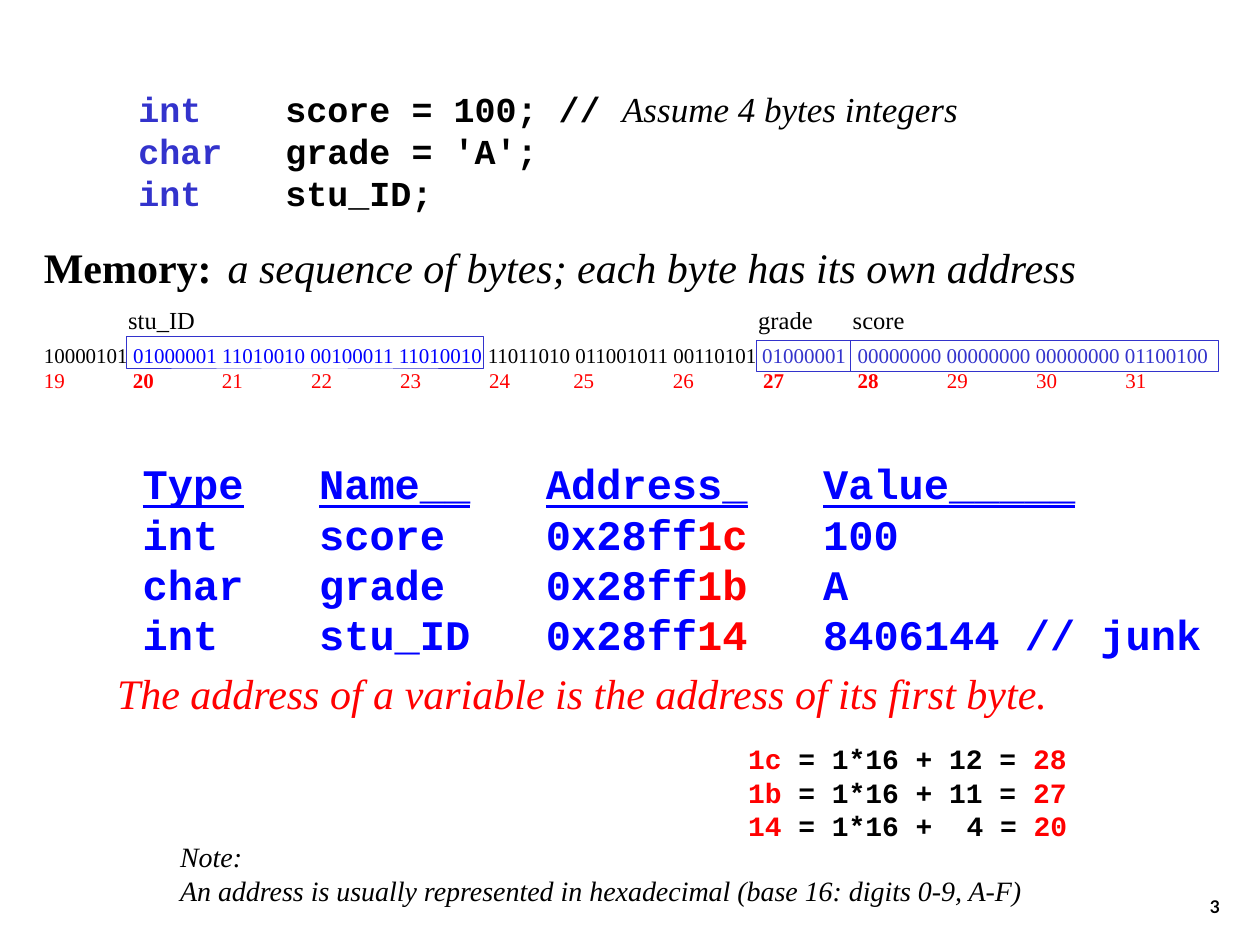
"""Build a slide on variables, their bytes and their addresses in memory."""
from dataclasses import dataclass, replace
from itertools import accumulate

from lxml import etree
from pptx import Presentation
from pptx.dml.color import RGBColor
from pptx.enum import shapes, text
from pptx.oxml import ns
from pptx.util import Pt

HUES = {"black": "000000", "blue": "0000FF", "navy": "3333CC", "red": "FF0000"}
MONO, SERIF, SANS = "Courier New", "Times New Roman", "Lato"


@dataclass(frozen=True)
class Look:
    size: float
    face: str = SERIF
    hue: str = "black"
    bold: bool = False
    slant: bool = False
    under: bool = False


@dataclass(frozen=True)
class Line:
    look: Look
    runs: tuple
    tabs: tuple = ()
    above: float = 0


@dataclass(frozen=True)
class Area:
    left: float
    top: float
    width: float
    height: float

    def pts(self) -> list:
        return [Pt(n) for n in (self.left, self.top, self.width, self.height)]


def paint(font, look: Look) -> None:
    font.name, font.size = look.face, Pt(look.size)
    font.bold, font.italic, font.underline = look.bold, look.slant, look.under
    font.color.rgb = RGBColor.from_string(HUES[look.hue])


def set_tabs(para, stops: tuple) -> None:
    props = para._p.get_or_add_pPr()
    tabs = etree.Element(ns.qn("a:tabLst"))
    for stop in stops:
        etree.SubElement(tabs, ns.qn("a:tab"), pos=str(Pt(stop)), algn="l")
    props.insert_element_before(tabs, "a:defRPr", "a:extLst")


def write(slide, area: Area, lines: list):
    frame = slide.shapes.add_textbox(*area.pts()).text_frame
    frame.word_wrap = True
    for i, line in enumerate(lines):
        para = frame.add_paragraph() if i else frame.paragraphs[0]
        paint(para.font, line.look)
        if line.above:
            para.space_before = Pt(line.above)
        if line.tabs:
            set_tabs(para, line.tabs)
        for words, change in line.runs:
            run = para.add_run()
            run.text = words
            paint(run.font, replace(line.look, **change))
    return frame


def frame_bytes(slide, area: Area) -> None:
    box = slide.shapes.add_shape(shapes.MSO_SHAPE.RECTANGLE, *area.pts())
    box.shadow.inherit = False
    box.fill.background()
    box.line.color.rgb = RGBColor.from_string(HUES["navy"])
    box.line.width = Pt(0.25)


def add_memory(slide) -> None:
    head = Look(24, slant=True)
    byte = Look(12)
    mark = Look(12, hue="red")
    stops = tuple(accumulate([50.9] * 5 + [48, 57, 51.5, 54] + [51] * 3))
    firsts = (20, 27, 28)
    marks = [("19", {})] + [
        (f"\t{n}", {"bold": n in firsts}) for n in range(20, 32)]
    write(slide, Area(18, 134.6, 684, 93.6), [
        Line(head, (("Memory:", {"bold": True, "slant": False}),
                    ("\ta sequence of bytes; each byte has its own address", {})),
             (105,)),
        Line(byte, (("10000101 ", {}),
                    ("01000001 11010010 00100011 11010010 ", {"hue": "blue"}),
                    ("11011010 011001011 00110101 ", {}),
                    ("01000001\t00000000 00000000 00000000 01100100",
                     {"hue": "navy"})),
             (stops[8],), 28.6),
        Line(mark, tuple(marks), stops)])
    for name, left, top, width, room in (("grade", 432, 194.4, 54, 54),
                                         ("stu_ID", 72, 192.2, 204, 72),
                                         ("score", 486, 194.4, 210, 54)):
        frame_bytes(slide, Area(left, top, width, 18))
        write(slide, Area(left - 5.8, 170.6, room, 24.5),
              [Line(Look(14), ((name, {}),))])


def add_code(slide) -> None:
    code = Look(20, MONO, bold=True)
    note = ("Assume 4 bytes integers",
            {"face": SERIF, "bold": False, "slant": True})
    rows = (("int", "score = 100; // ", (note,)),
            ("char", "grade = 'A';", ()), ("int", "stu_ID;", ()))
    write(slide, Area(24, 46.3, 540, 79.2), [
        Line(code, ((f"\t{kind}", {"hue": "navy"}), (f"\t{rest}", {}), *tail),
             (48, 132))
        for kind, rest, tail in rows])


def add_vars(slide) -> None:
    look = Look(24, MONO, "blue", True)
    stops = (100.8, 230.4, 388.8)
    heads = []
    for i, name in enumerate(("Type", "Name__", "Address_", "Value_____")):
        if i:
            heads.append(("\t", {}))
        heads.append((name, {"under": True}))
    rows = (("int", "score", "1c", "100"), ("char", "grade", "1b", "A"),
            ("int", "stu_ID", "14", "8406144 // junk"))
    write(slide, Area(74.5, 258, 626, 122.4), [Line(look, tuple(heads), stops)] + [
        Line(look, ((f"{kind}\t{name}\t0x28ff", {}), (end, {"hue": "red"}),
                    (f"\t{value}", {})), stops)
        for kind, name, end, value in rows])


def add_sums(slide) -> None:
    look = Look(16, MONO, bold=True)
    red = {"hue": "red"}
    rows = (("1c", " 12", "28"), ("1b", " 11", "27"), ("14", "\t4", "20"))
    write(slide, Area(420.5, 420.2, 200, 64.8), [
        Line(look, ((code, red), (f" = 1*16 +{unit} = ", {}), (total, red)),
             (124.8,))
        for code, unit, total in rows])


def main() -> None:
    deck = Presentation()
    deck.slide_width, deck.slide_height = Pt(720), Pt(540)
    slide = deck.slides.add_slide(deck.slide_layouts[6])
    add_memory(slide)
    page = write(slide, Area(554.4, 491.8, 149.8, 36),
                 [Line(Look(10, SANS, bold=True), (("3", {}),))])
    page.vertical_anchor = text.MSO_ANCHOR.BOTTOM
    page.paragraphs[0].alignment = text.PP_ALIGN.RIGHT
    rule = "The address of a variable is the address of its first byte."
    write(slide, Area(59.8, 378, 555, 36),
          [Line(Look(24, hue="red", slant=True), ((rule, {}),), above=15)])
    add_code(slide)
    add_vars(slide)
    add_sums(slide)
    notes = ("Note:", "An address is usually represented in hexadecimal "
             "(base 16: digits 0-9, A-F)")
    write(slide, Area(95.8, 476.2, 545.8, 46.1),
          [Line(Look(16, slant=True), ((note, {}),)) for note in notes])
    deck.save("out.pptx")


if __name__ == "__main__":
    main()
